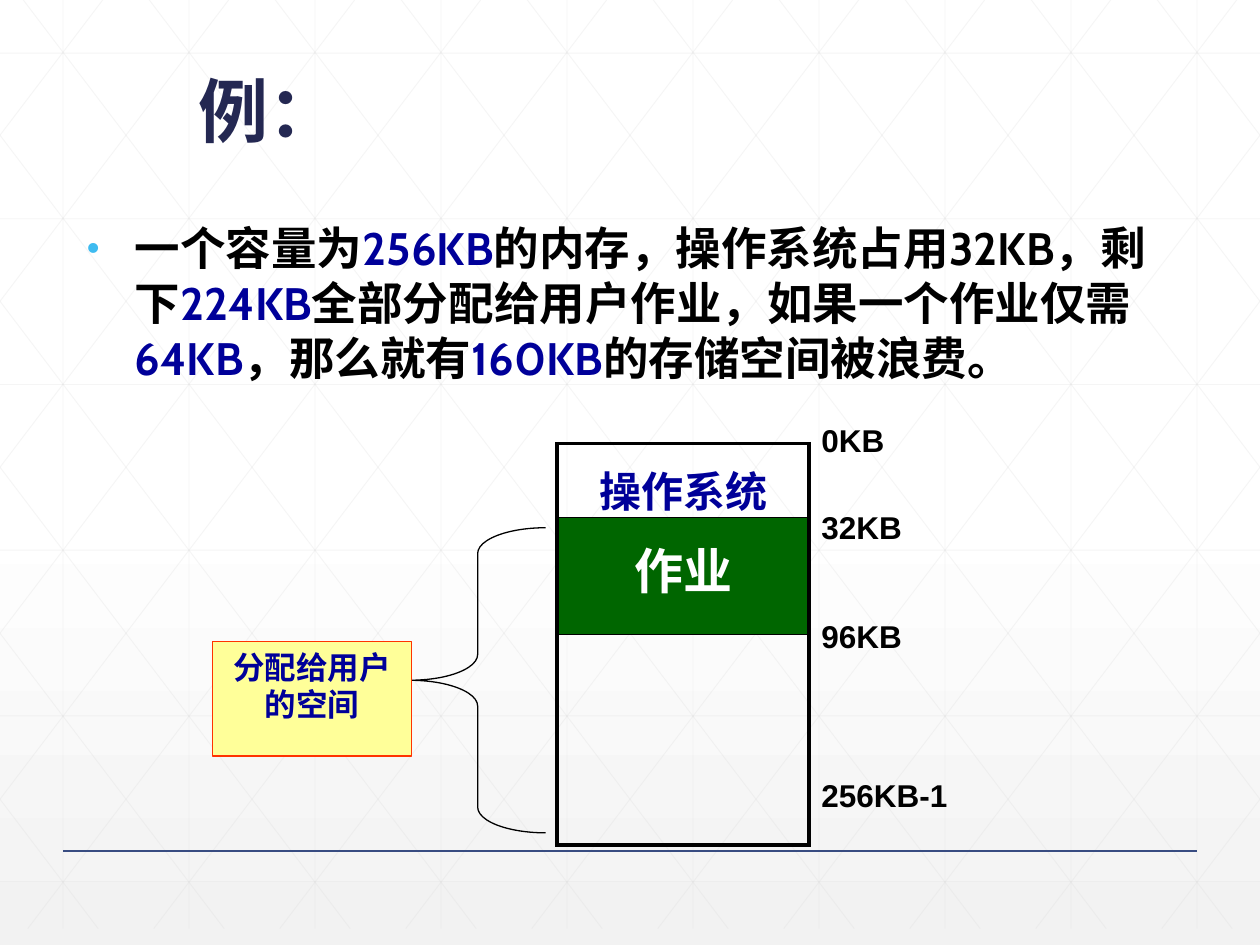
from typing import NamedTuple, Optional

from lxml import etree
from pptx import Presentation
from pptx import util as u
from pptx.dml import color
from pptx.enum import shapes, text
from pptx.oxml import ns

WIDTH, HEIGHT = 25.4, 19.05
GRID_BOTTOM = 18.72
GRID_STEP = 2.54
DIAGONAL_RUN = 14.21
BLACK, NAVY, WHITE = "000000", "000099", "FFFFFF"


class Span(NamedTuple):
    text: str
    colour: str = BLACK


class Block(NamedTuple):
    label: str
    height: float
    colour: str
    size: int
    top_margin: float
    fill: Optional[str]
    top_line: float
    bottom_line: float


class Mark(NamedTuple):
    label: str
    gap: int


BLOCKS = [
    Block("操作系统", 1.49, NAVY, 24, 0.3, None, 2.25, 1),
    Block("作业", 2.36, WHITE, 28, 0.32, "006600", 1, 1),
    Block("", 4.24, BLACK, 18, 0.13, None, 1, 2.25),
]
MARKS = [Mark("0KB", 0), Mark("32KB", 28), Mark("96KB", 41), Mark("256KB-1", 69)]
EXAMPLE = [
    Span("一个容量为"), Span("256KB", NAVY),
    Span("的内存，操作系统占用32KB，剩下"), Span("224KB", NAVY),
    Span("全部分配给用户作业，如果一个作业仅需"), Span("64KB", NAVY),
    Span("，那么就有"), Span("160KB", NAVY), Span("的存储空间被浪费。"),
]


def rgb(value: str) -> color.RGBColor:
    return color.RGBColor.from_string(value)


def apply(target, **values) -> None:
    """Set every given format value on the target."""
    for name, value in values.items():
        setattr(target, name, value)


def add_element(parent, tag: str, **attributes):
    return etree.SubElement(parent, ns.qn(tag), attributes)


def write(para, spans: list[Span], size: int, font: str = "Cabin") -> None:
    for span in spans:
        run = para.add_run()
        run.text = span.text
        apply(run.font, name=font, size=u.Pt(size), bold=True)
        run.font.color.rgb = rgb(span.colour)


def add_box(page, left: float, top: float, width: float, height: float):
    box = page.shapes.add_textbox(u.Cm(left), u.Cm(top), u.Cm(width), u.Cm(height))
    box.text_frame.word_wrap = True
    return box.text_frame


def add_line(page, x1: float, y1: float, x2: float, y2: float,
             colour: str, weight: float, alpha: int = 100) -> None:
    line = page.shapes.add_connector(
        shapes.MSO_CONNECTOR.STRAIGHT, u.Cm(x1), u.Cm(y1), u.Cm(x2), u.Cm(y2))
    line.line.width = u.Pt(weight)
    line.line.color.rgb = rgb(colour)
    properties = line._element.spPr
    if alpha < 100:
        fill = properties.find(".//" + ns.qn("a:srgbClr"))
        add_element(fill, "a:alpha", val=str(alpha * 1000))
    add_element(properties, "a:effectLst")


def add_backdrop(page) -> None:
    fill = page.background.fill
    fill.gradient()
    fill.gradient_angle = 270
    for stop, position, colour in zip(fill.gradient_stops, (0.53, 1), (WHITE, "F2F2F2")):
        stop.position = position
        stop.color.rgb = rgb(colour)

    lines = []
    for column in range(10):
        x = 1.27 + column * GRID_STEP
        lines.append((x, 0, x, GRID_BOTTOM))
    for row in range(6):
        y = 1.07 + row * 3.34
        lines.append((0, y, WIDTH, y))
    slope = GRID_BOTTOM / DIAGONAL_RUN
    for step in range(-5, 10):
        start = 0.47 + step * GRID_STEP
        x1, x2 = max(start, 0), min(start + DIAGONAL_RUN, WIDTH)
        y1, y2 = (x1 - start) * slope, (x2 - start) * slope
        lines.append((x1, y1, x2, y2))
        lines.append((WIDTH - x1, y1, WIDTH - x2, y2))
    for ends in lines:
        add_line(page, *ends, "D9D9D9", 0.5, 25)
    add_line(page, 1.27, 17.15, 24.13, 17.15, "384C81", 1)


def add_example(page) -> None:
    para = add_box(page, 1.5, 4.32, 22.4, 3.81).paragraphs[0]
    properties = para._p.get_or_add_pPr()
    properties.set("marL", str(u.Cm(0.97)))
    properties.set("indent", str(u.Cm(-0.97)))
    add_element(add_element(properties, "a:buClr"), "a:srgbClr", val="3EBBF0")
    add_element(properties, "a:buSzPct", val="80000")
    add_element(properties, "a:buFont", typeface="Arial")
    add_element(properties, "a:buChar", char="•")
    write(para, EXAMPLE, 26)


def add_border(cell, side: str, weight: float) -> None:
    line = add_element(cell._tc.get_or_add_tcPr(), f"a:ln{side}", w=str(u.Pt(weight)))
    add_element(add_element(line, "a:solidFill"), "a:srgbClr", val=BLACK)


def add_memory(page) -> None:
    total = sum(block.height for block in BLOCKS)
    table = page.shapes.add_table(
        len(BLOCKS), 1, u.Cm(11.23), u.Cm(8.94), u.Cm(5.08), u.Cm(total)).table
    apply(table, first_row=False, horz_banding=False)
    for row, block in zip(table.rows, BLOCKS):
        row.height = u.Cm(block.height)
        cell = row.cells[0]
        cell.margin_top = u.Cm(block.top_margin)
        weights = {"L": 2.25, "R": 2.25, "T": block.top_line, "B": block.bottom_line}
        for side, weight in weights.items():
            add_border(cell, side, weight)
        if block.fill:
            cell.fill.solid()
            cell.fill.fore_color.rgb = rgb(block.fill)
        else:
            cell.fill.background()
        if block.label:
            para = cell.text_frame.paragraphs[0]
            para.alignment = text.PP_ALIGN.CENTER
            write(para, [Span(block.label, block.colour)], block.size)


def add_marks(page) -> None:
    frame = add_box(page, 16.31, 8.49, 3.81, 8.59)
    frame.margin_top = 0
    for index, mark in enumerate(MARKS):
        para = frame.add_paragraph() if index else frame.paragraphs[0]
        if mark.gap:
            para.space_before = u.Pt(mark.gap)
        write(para, [Span(mark.label)], 18, "Arial")


def add_outlined(page, kind, left: float, top: float, width: float, height: float,
                 outline: str, fill: Optional[str] = None):
    shape = page.shapes.add_shape(kind, u.Cm(left), u.Cm(top), u.Cm(width), u.Cm(height))
    shape.shadow.inherit = False
    shape.line.width = u.Pt(0.75)
    shape.line.color.rgb = rgb(outline)
    if fill:
        shape.fill.solid()
        shape.fill.fore_color.rgb = rgb(fill)
    else:
        shape.fill.background()
    return shape


def add_user_space(page) -> None:
    brace = add_outlined(page, shapes.MSO_SHAPE.LEFT_BRACE, 8.26, 10.64, 2.74, 6.15, BLACK)
    brace.adjustments[0] = 0.19
    brace.adjustments[1] = 0.5
    note = add_outlined(page, shapes.MSO_SHAPE.RECTANGLE, 4.29, 12.93, 4.01, 2.31,
                        "FF3300", "FFFF99")
    frame = note.text_frame
    apply(frame, word_wrap=True, vertical_anchor=text.MSO_ANCHOR.TOP)
    para = frame.paragraphs[0]
    para.alignment = text.PP_ALIGN.CENTER
    write(para, [Span("分配给用户的空间", NAVY)], 18, "Arial")


def main() -> None:
    deck = Presentation()
    apply(deck, slide_width=u.Cm(WIDTH), slide_height=u.Cm(HEIGHT))
    page = deck.slides.add_slide(deck.slide_layouts[6])
    add_backdrop(page)
    title = add_box(page, 3.76, 0, 21.64, 3.18)
    title.vertical_anchor = text.MSO_ANCHOR.BOTTOM
    write(title.paragraphs[0], [Span("例：", "242852")], 40)
    add_example(page)
    add_memory(page)
    add_marks(page)
    add_user_space(page)
    deck.save("out.pptx")


if __name__ == "__main__":
    main()
